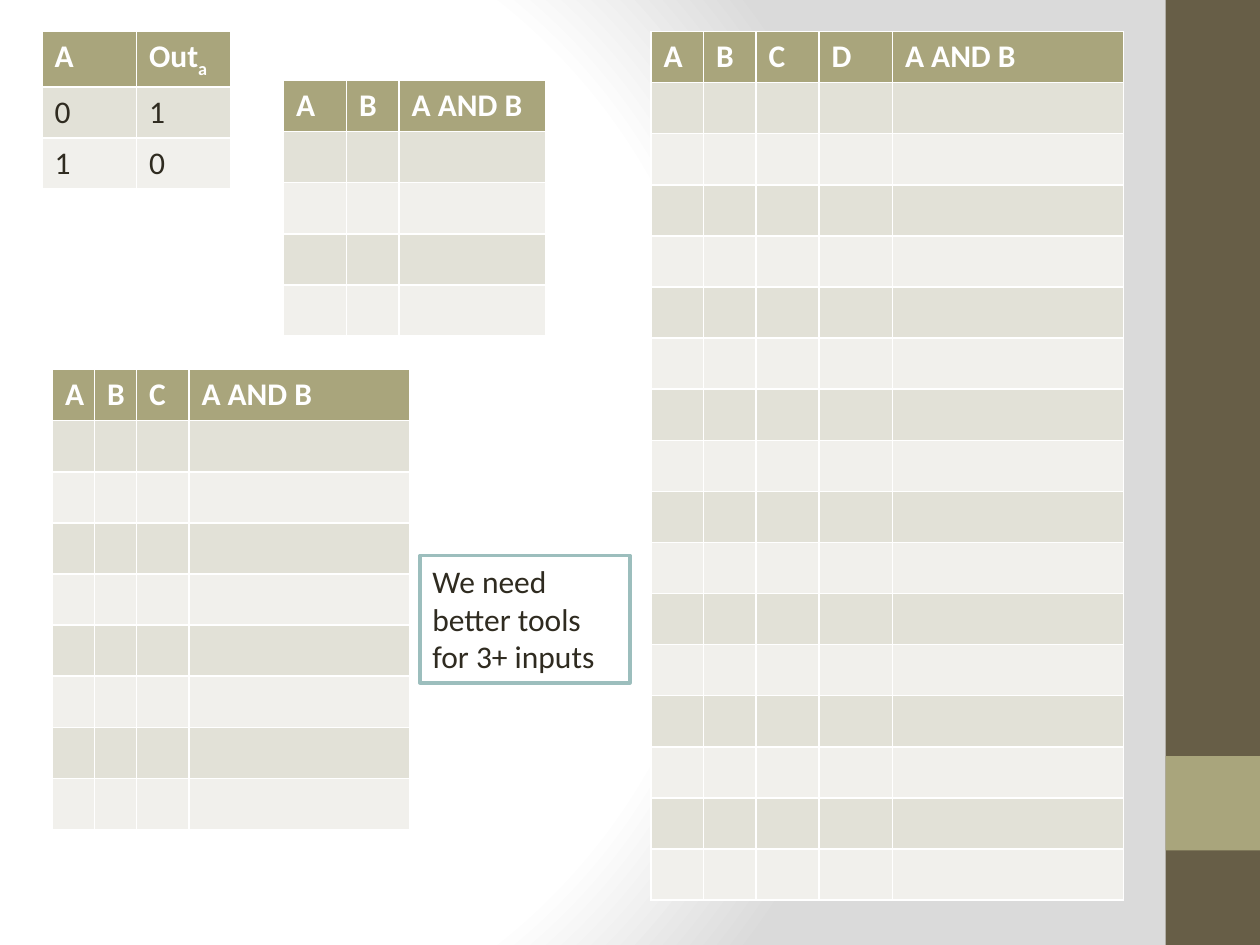
from dataclasses import dataclass

from pptx import Presentation
from pptx.dml.color import RGBColor
from pptx.enum.shapes import MSO_SHAPE
from pptx.enum.text import MSO_ANCHOR, PP_ALIGN
from pptx.oxml import parse_xml
from pptx.oxml.ns import nsdecls, qn
from pptx.util import Pt

RECT = MSO_SHAPE.RECTANGLE
TOP = MSO_ANCHOR.TOP
LEFT = PP_ALIGN.LEFT
BLANK_LAYOUT = 6


@dataclass(frozen=True)
class Theme:
    font: str = "Calibri"
    size: float = 18
    text: str = "2F2B20"
    white: str = "FFFFFF"
    edge: str = "DADADA"
    sidebar: str = "675E47"
    accent: str = "A9A57C"
    bands: tuple = ("E2E1D7", "F1F0EC")
    note_line: str = "9CBEBD"
    row_height: float = 29.2


class SlideBuilder:
    def __init__(self, slide, theme):
        self.s = slide
        self.theme = theme

    def background(self):
        """Radial gradient centred left of the middle, darkening to the right."""
        t = self.theme
        stops = "".join(
            f'<a:gs pos="{pos * 1000}"><a:srgbClr val="{color}"/></a:gs>'
            for pos, color in ((0, t.white), (75, t.white), (100, t.edge)))
        self.s.background.fill.gradient()
        old = self.s.element.find(".//" + qn("a:gradFill"))
        old.getparent().replace(old, parse_xml(
            f'<a:gradFill {nsdecls("a")} rotWithShape="1"><a:gsLst>{stops}</a:gsLst>'
            '<a:path path="circle"><a:fillToRect l="20000" t="50000" '
            'r="100000" b="50000"/></a:path></a:gradFill>'))

    def rect(self, x, y, w, h, fill, line=None):
        sp = self.s.shapes.add_shape(RECT, Pt(x), Pt(y), Pt(w), Pt(h))
        sp.shadow.inherit = False
        sp.fill.solid()
        sp.fill.fore_color.rgb = RGBColor.from_string(fill)
        if line:
            sp.line.color.rgb = RGBColor.from_string(line)
            sp.line.width = Pt(2)
        else:
            sp.line.fill.background()
        return sp

    def style(self, p, color, bold=False):
        p.font.name = self.theme.font
        p.font.size = Pt(self.theme.size)
        p.font.bold = bold
        p.font.color.rgb = RGBColor.from_string(color)

    def note(self, x, y, w, h, text):
        tf = self.rect(x, y, w, h, self.theme.white, self.theme.note_line).text_frame
        tf.word_wrap = True
        tf.vertical_anchor = TOP
        p = tf.paragraphs[0]
        p.text = text
        p.alignment = LEFT
        self.style(p, self.theme.text)

    def truth_table(self, x, y, widths, header, rows):
        """Header plus banded rows; "_" in a cell starts a subscript."""
        t = self.theme
        table = self.s.shapes.add_table(
            len(rows) + 1, len(widths), Pt(x), Pt(y),
            Pt(sum(widths)), Pt(t.row_height * (len(rows) + 1))).table
        for column, width in zip(table.columns, widths):
            column.width = Pt(width)
        for i, values in enumerate([header, *rows]):
            table.rows[i].height = Pt(t.row_height)
            is_header = i == 0
            fill = t.accent if is_header else t.bands[(i - 1) % 2]
            for cell, value in zip(table.rows[i].cells, values):
                cell.fill.solid()
                cell.fill.fore_color.rgb = RGBColor.from_string(fill)
                p = cell.text_frame.paragraphs[0]
                self.style(p, t.white if is_header else t.text, is_header)
                base, _, subscript = value.partition("_")
                if base:
                    p.add_run().text = base
                if subscript:
                    r = p.add_run()
                    r.text = subscript
                    r.font._element.set("baseline", "-25000")


def empty_rows(inputs):
    """One blank row for each combination of the inputs."""
    return [[""] * (inputs + 1)] * 2 ** inputs


def main():
    prs = Presentation()
    prs.slide_width, prs.slide_height = Pt(720), Pt(540)
    theme = Theme()
    b = SlideBuilder(prs.slides.add_slide(prs.slide_layouts[BLANK_LAYOUT]), theme)

    b.background()
    b.rect(666, 0, 54, 540, theme.sidebar)
    b.rect(666, 432, 54, 54, theme.accent)

    b.truth_table(24, 18, [54, 54], ["A", "Out_a"], [["0", "1"], ["1", "0"]])
    for x, y, widths in ((162, 46, [36, 30, 84]),
                         (30, 211.2, [24, 24, 30, 126]),
                         (372, 18, [30, 30, 36, 42, 132])):
        inputs = len(widths) - 1
        b.truth_table(x, y, widths, [*"ABCD"[:inputs], "A AND B"], empty_rows(inputs))

    b.note(240, 317.5, 120, 72.7, "We need better tools for 3+ inputs")
    prs.save("out.pptx")


if __name__ == "__main__":
    main()
